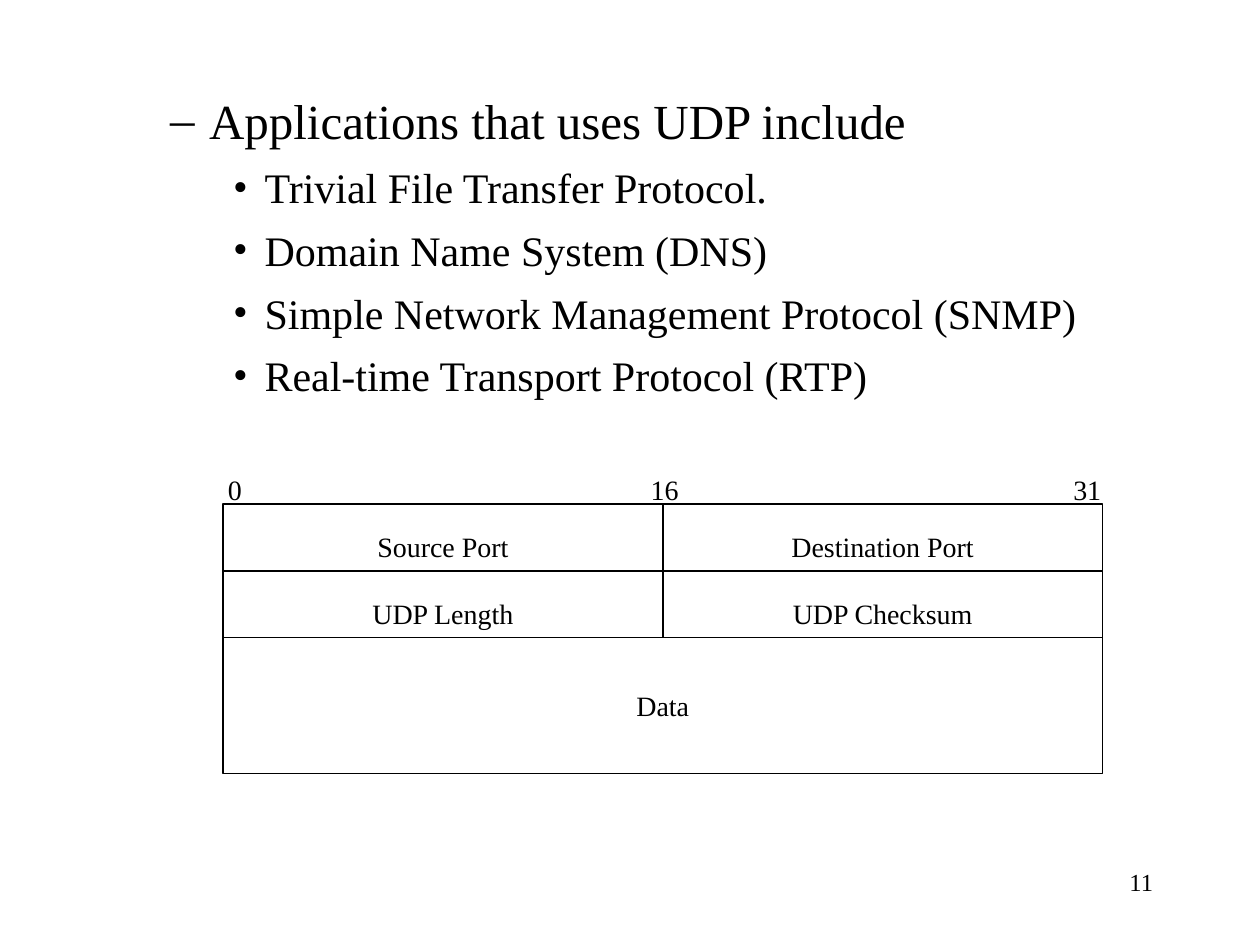
from lxml import etree
from pptx import Presentation
from pptx.dml.color import RGBColor
from pptx.enum.shapes import MSO_CONNECTOR, MSO_SHAPE
from pptx.enum.text import MSO_ANCHOR, PP_ALIGN
from pptx.oxml.ns import qn
from pptx.util import Inches, Pt

LEFT, CENTER, RIGHT = PP_ALIGN.LEFT, PP_ALIGN.CENTER, PP_ALIGN.RIGHT
TOP, MIDDLE, BOTTOM = MSO_ANCHOR.TOP, MSO_ANCHOR.MIDDLE, MSO_ANCHOR.BOTTOM
RECTANGLE, STRAIGHT = MSO_SHAPE.RECTANGLE, MSO_CONNECTOR.STRAIGHT
BLACK = RGBColor(0, 0, 0)
FONT = "Times New Roman"
LINE = Pt(0.88)

BULLETS = [
    (1, "Applications that uses UDP include"),
    (2, "Trivial File Transfer Protocol."),
    (2, "Domain Name System (DNS)"),
    (2, "Simple Network Management Protocol (SNMP)"),
    (2, "Real-time Transport Protocol (RTP)"),
]
LEVELS = {1: ("–", 0.81, 0.31, 28), 2: ("•", 1.25, 0.25, 24)}
BITS = [("0", LEFT), ("16", CENTER), ("31", RIGHT)]
FIELDS = [["Source Port", "Destination Port"], ["UDP Length", "UDP Checksum"], ["Data"]]
ROW_HEIGHTS = [0.53, 0.53, 1.08]
X, Y, WIDTH = 1.77, 4, 6.98
PAD = 0.06


def format_text(p, text, size=16, align=LEFT):
    r = p.add_run()
    r.text = text
    p.alignment = align
    r.font.name, r.font.size, r.font.color.rgb = FONT, Pt(size), BLACK


def add_text(s, text, box, size=16, align=LEFT, anchor=TOP, inset=(0, 0)):
    sp = s.shapes.add_textbox(*map(Inches, box))
    tf = sp.text_frame
    tf.word_wrap = True
    tf.vertical_anchor = anchor
    tf.margin_left = tf.margin_right = Inches(inset[0])
    tf.margin_top = tf.margin_bottom = Inches(inset[1])
    format_text(tf.paragraphs[0], text, size=size, align=align)


def add_line(s, x1, y1, x2, y2):
    line = s.shapes.add_connector(STRAIGHT, *map(Inches, (x1, y1, x2, y2)))
    line.line.color.rgb, line.line.width = BLACK, LINE
    etree.SubElement(line._element.spPr, qn("a:effectLst"))


def add_bullets(s):
    body = s.placeholders[1]
    body.left, body.top, body.width, body.height = map(Inches, (0.75, 0.67, 8.5, 6))
    tf = body.text_frame
    for i, (level, text) in enumerate(BULLETS):
        p = tf.add_paragraph() if i else tf.paragraphs[0]
        mark, margin, hang, size = LEVELS[level]
        p.level = level
        p.space_before = Pt(7 if i else 0)
        pPr = p._p.get_or_add_pPr()
        pPr.set("marL", str(Inches(margin)))
        pPr.set("indent", str(-Inches(hang)))
        etree.SubElement(pPr, qn("a:buFont"), typeface=FONT)
        etree.SubElement(pPr, qn("a:buChar"), char=mark)
        format_text(p, text, size=size)


def add_header_diagram(s):
    frame = s.shapes.add_shape(RECTANGLE, *map(Inches, (X, Y, WIDTH, sum(ROW_HEIGHTS))))
    frame.shadow.inherit = False
    frame.fill.background()
    frame.line.color.rgb, frame.line.width = BLACK, LINE

    for bit, align in BITS:
        add_text(s, bit, (X + 0.04, Y - 0.25, WIDTH - 0.05, 0.27), align=align)

    y = Y
    for row, (fields, height) in enumerate(zip(FIELDS, ROW_HEIGHTS)):
        if row:
            add_line(s, X, y, X + WIDTH, y)
        width = WIDTH / len(fields)
        anchor = BOTTOM if len(fields) > 1 else MIDDLE
        for col, field in enumerate(fields):
            add_text(s, field, (X + col * width, y, width, height),
                     align=CENTER, anchor=anchor, inset=(0, PAD))
        y += height
    middle = X + WIDTH / 2
    add_line(s, middle, Y, middle, Y + sum(ROW_HEIGHTS[:2]))


def main():
    prs = Presentation()
    prs.slide_width, prs.slide_height = Inches(10), Inches(7.5)
    s = prs.slides.add_slide(prs.slide_layouts[1])
    title = s.shapes.title._element
    title.getparent().remove(title)
    add_bullets(s)
    add_header_diagram(s)
    add_text(s, "11", (7.17, 6.83, 2.08, 0.5), size=14, align=RIGHT, inset=(0.1, 0.05))
    prs.save("out.pptx")


if __name__ == "__main__":
    main()
